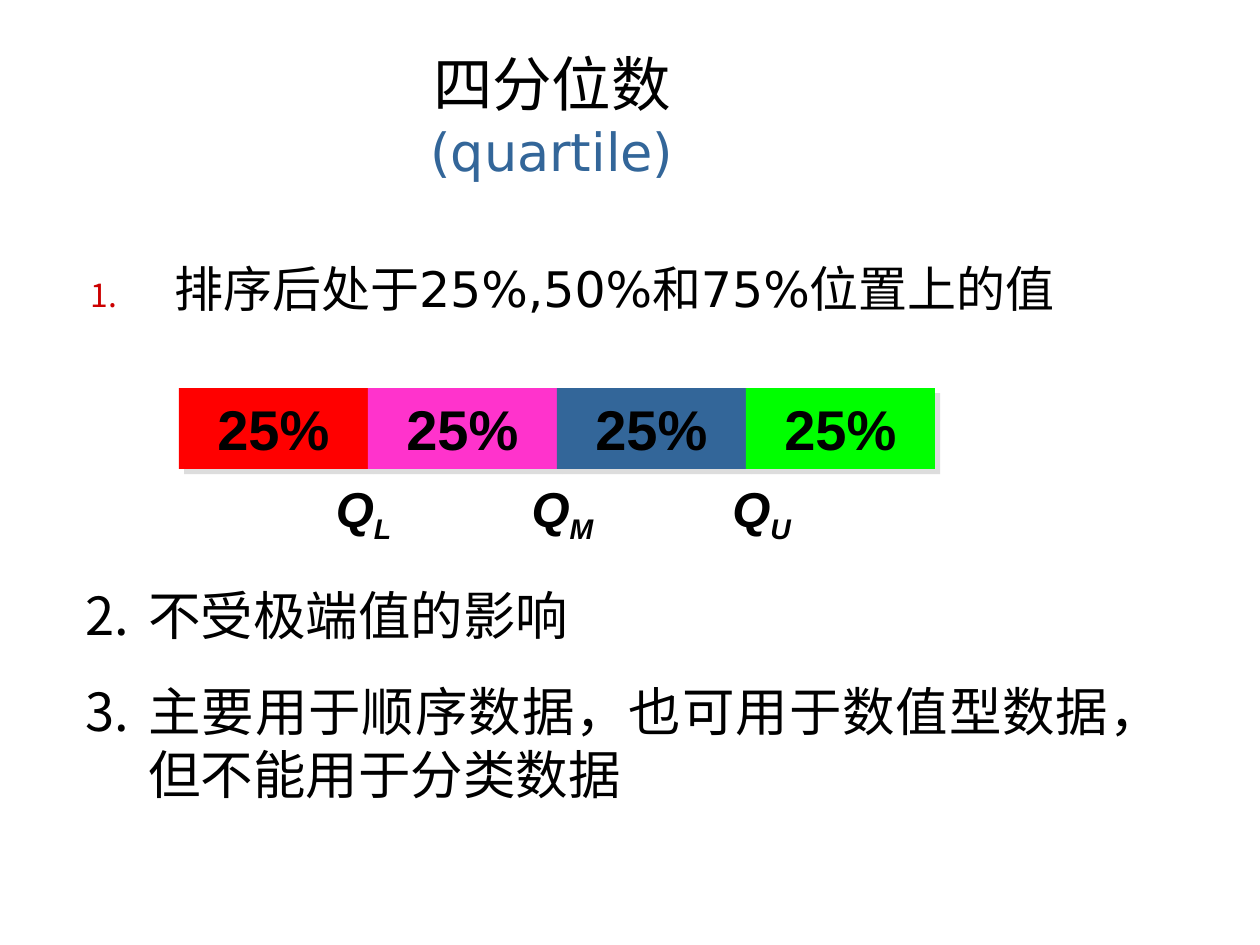
from lxml.etree import SubElement
from pptx import Presentation
from pptx.dml.color import RGBColor
from pptx.enum.shapes import MSO_SHAPE
from pptx.enum.text import MSO_ANCHOR, MSO_AUTO_SIZE, PP_ALIGN
from pptx.oxml.ns import qn
from pptx.util import Pt

EMU_PER_PX = 914400 / 126
BLACK, BLUE = "000000", "336699"


def px(n):
    return round(n * EMU_PER_PX)


def rgb(value):
    return RGBColor.from_string(value)


def place(sp, left, top, width, height):
    sp.left, sp.top, sp.width, sp.height = map(px, (left, top, width, height))


def add_run(p, text, size, color=BLACK, **fmt):
    r = p.add_run()
    r.text = text
    r.font.color.rgb = rgb(color)
    for name, value in {"size": Pt(size), "name": "Arial", **fmt}.items():
        setattr(r.font, name, value)
    return r


def add_text_box(s, *box):
    sp = s.shapes.add_textbox(*map(px, box))
    sp.text_frame.word_wrap = True
    return sp.text_frame


def number(p, start, indent, color, percent=100):
    """Give the paragraph an automatic number with a hanging indent."""
    pPr = p._p.get_or_add_pPr()
    pPr.set("marL", str(px(indent)))
    pPr.set("indent", str(-px(indent)))
    SubElement(SubElement(pPr, qn("a:buClr")), qn("a:srgbClr"), val=color)
    SubElement(pPr, qn("a:buSzPct"), val=str(percent * 1000))
    SubElement(pPr, qn("a:buAutoNum"), type="arabicPeriod", startAt=str(start))


def add_shadow(sp, color):
    """Add a hard shadow to the lower right."""
    effects = sp._element.spPr.find(qn("a:effectLst"))
    shadow = SubElement(effects, qn("a:outerShdw"), dist=str(Pt(4.2)),
                        dir="2700000", algn="ctr", rotWithShape="0")
    SubElement(shadow, qn("a:srgbClr"), val=color)


def add_title(s):
    sp = s.shapes.title
    place(sp, 79, 42, 946, 145)
    tf = sp.text_frame
    tf.auto_size = MSO_AUTO_SIZE.NONE
    tf.vertical_anchor = MSO_ANCHOR.MIDDLE
    p = tf.paragraphs[0]
    p.alignment = PP_ALIGN.CENTER
    add_run(p, "四分位数", 34, name="DejaVu Sans")
    p.add_line_break()
    add_run(p, "(quartile)", 30, BLUE, name="DejaVu Sans")


def add_definition(s):
    p = add_text_box(s, 78, 252, 1102, 174).paragraphs[0]
    number(p, 1, 84, "CC0000", 65)
    add_run(p, "排序后处于25%,50%和75%位置上的值", 28, name="DejaVu Sans")


def add_properties(s, items):
    tf = add_text_box(s, 73, 577, 1102, 234)
    for i, text in enumerate(items):
        p = tf.add_paragraph() if i else tf.paragraphs[0]
        p.alignment = PP_ALIGN.JUSTIFY
        if i:
            p.space_before = Pt(18.7)
        number(p, 2, 63, BLACK)
        add_run(p, text, 30)


def add_quartile_label(s, left, letter):
    p = add_text_box(s, left, 472, 117, 79).paragraphs[0]
    p.alignment = PP_ALIGN.CENTER
    add_run(p, "Q", 28, bold=True, italic=True)
    sub = add_run(p, letter, 28, bold=True, italic=True)
    sub.font._element.set("baseline", "-25000")


def add_quarter(s, left, width, color):
    sp = s.shapes.add_shape(MSO_SHAPE.RECTANGLE, *map(px, (left, 388, width, 81)))
    sp.fill.solid()
    sp.fill.fore_color.rgb = rgb(color)
    sp.line.fill.background()
    sp.shadow.inherit = False
    add_shadow(sp, "DDDDDD")
    tf = sp.text_frame
    tf.vertical_anchor = MSO_ANCHOR.TOP
    p = tf.paragraphs[0]
    p.alignment = PP_ALIGN.CENTER
    add_run(p, "25%", 32, bold=True)


def main():
    prs = Presentation()
    prs.slide_width, prs.slide_height = px(1260), px(945)
    s = prs.slides.add_slide(prs.slide_layouts[5])
    add_title(s)
    add_definition(s)
    add_properties(s, ["不受极端值的影响",
                       "主要用于顺序数据，也可用于数值型数据，但不能用于分类数据"])
    for i, letter in enumerate("LMU"):
        add_quartile_label(s, 305 + 199 * i, letter)
    for i, color in enumerate(["FF0000", "FF33CC", BLUE, "00FF00"]):
        add_quarter(s, 179 + 189 * i, 189, color)
    prs.save("out.pptx")


if __name__ == "__main__":
    main()
